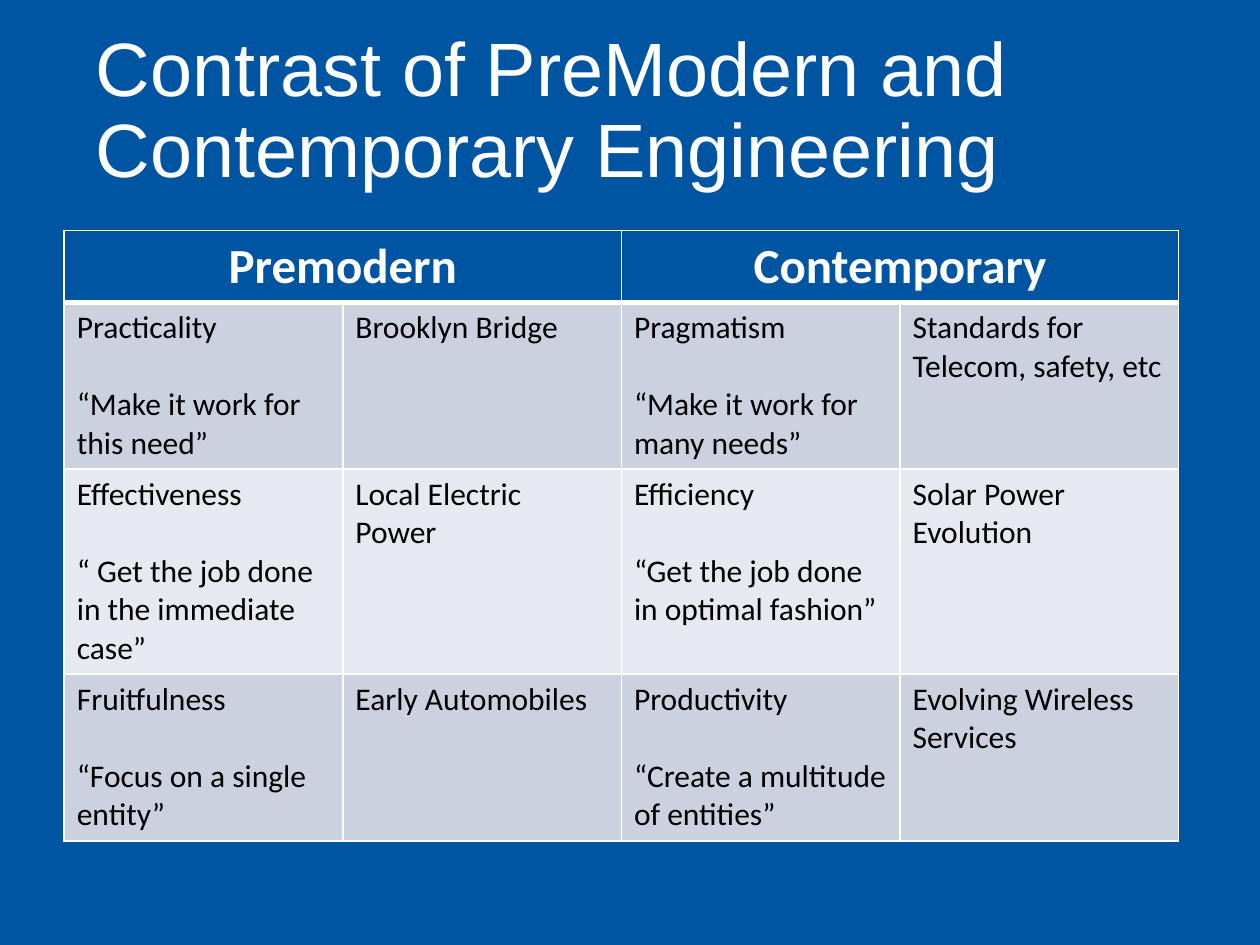
from typing import NamedTuple

from lxml.etree import SubElement
from pptx import Presentation
from pptx.dml.color import RGBColor
from pptx.enum.text import MSO_ANCHOR, PP_ALIGN
from pptx.oxml.ns import qn
from pptx.util import Pt

BLUE, WHITE, BLACK = "0055A2", "FFFFFF", "000000"
BANDS = ("CCD1E0", "E7E9F0")
COLUMN_WIDTH = 159.2
HEADER_HEIGHT = 41
HEADERS = ("Premodern", "Contemporary")


class Virtue(NamedTuple):
    name: str
    motto: str
    example: str


class Contrast(NamedTuple):
    premodern: Virtue
    contemporary: Virtue
    height: float


CONTRASTS = [
    Contrast(
        Virtue("Practicality", "“Make it work for this need”", "Brooklyn Bridge"),
        Virtue("Pragmatism", "“Make it work for many needs”",
               "Standards for Telecom, safety, etc"),
        95.3),
    Contrast(
        Virtue("Effectiveness", "“ Get the job done in the immediate case”",
               "Local Electric Power"),
        Virtue("Efficiency", "“Get the job done in optimal fashion”",
               "Solar Power Evolution"),
        117.2),
    Contrast(
        Virtue("Fruitfulness", "“Focus on a single entity”", "Early Automobiles"),
        Virtue("Productivity", "“Create a multitude of entities”",
               "Evolving Wireless Services"),
        95.3),
]


def rgb(value: str) -> RGBColor:
    return RGBColor.from_string(value)


def write(tf, *texts: str, size: float = 18, font: str = "Calibri",
          color: str = BLACK, bold: bool = False, align=PP_ALIGN.LEFT,
          line_spacing: float = 1.0, gap: float = 0) -> None:
    """Fill a text frame with one paragraph per text, gap points apart."""
    for i, text in enumerate(texts):
        p = tf.paragraphs[0] if i == 0 else tf.add_paragraph()
        p.alignment, p.line_spacing = align, line_spacing
        if i:
            p.space_before = Pt(gap)
        r = p.add_run()
        r.text = text
        r.font.name, r.font.size, r.font.bold = font, Pt(size), bold
        r.font.color.rgb = rgb(color)


def style_cell(cell, fill: str, top: float = 1, bottom: float = 1) -> None:
    """Set the fill and the white borders, with widths in points."""
    tc_pr = cell._tc.get_or_add_tcPr()
    for side, width in (("L", 1), ("R", 1), ("T", top), ("B", bottom)):
        ln = SubElement(tc_pr, qn(f"a:ln{side}"), w=str(Pt(width)))
        SubElement(SubElement(ln, qn("a:solidFill")), qn("a:srgbClr"), val=WHITE)
    cell.fill.solid()
    cell.fill.fore_color.rgb = rgb(fill)


def add_title(s, text: str) -> None:
    tf = s.shapes.add_textbox(Pt(47.5), Pt(29.5), Pt(620.6), Pt(69.8)).text_frame
    tf.word_wrap = True
    tf.vertical_anchor = MSO_ANCHOR.MIDDLE
    write(tf, text, size=43.2, font="Arial", color=WHITE, line_spacing=0.9)


def add_contrast_table(s) -> None:
    heights = [HEADER_HEIGHT] + [c.height for c in CONTRASTS]
    table = s.shapes.add_table(len(heights), 4, Pt(36.7), Pt(131.8),
                               Pt(4 * COLUMN_WIDTH), Pt(sum(heights))).table
    for column in table.columns:
        column.width = Pt(COLUMN_WIDTH)
    for row, height in zip(table.rows, heights):
        row.height = Pt(height)

    for cell in table.rows[0].cells:
        style_cell(cell, BLUE, bottom=3)
    for i, header in enumerate(HEADERS):
        cell = table.cell(0, 2 * i)
        cell.merge(table.cell(0, 2 * i + 1))
        write(cell.text_frame, header, size=28, color=WHITE, bold=True,
              align=PP_ALIGN.CENTER)

    for i, contrast in enumerate(CONTRASTS):
        cells = list(table.rows[i + 1].cells)
        for cell in cells:
            style_cell(cell, BANDS[i % 2], top=1 if i else 3)
        for j, virtue in enumerate((contrast.premodern, contrast.contemporary)):
            write(cells[2 * j].text_frame, virtue.name, virtue.motto, gap=22)
            write(cells[2 * j + 1].text_frame, virtue.example)


def main() -> None:
    prs = Presentation()
    prs.slide_width, prs.slide_height = Pt(720), Pt(540)
    s = prs.slides.add_slide(prs.slide_layouts[6])
    s.background.fill.solid()
    s.background.fill.fore_color.rgb = rgb(BLUE)
    add_title(s, "Contrast of PreModern and Contemporary Engineering")
    add_contrast_table(s)
    prs.save("out.pptx")


if __name__ == "__main__":
    main()
